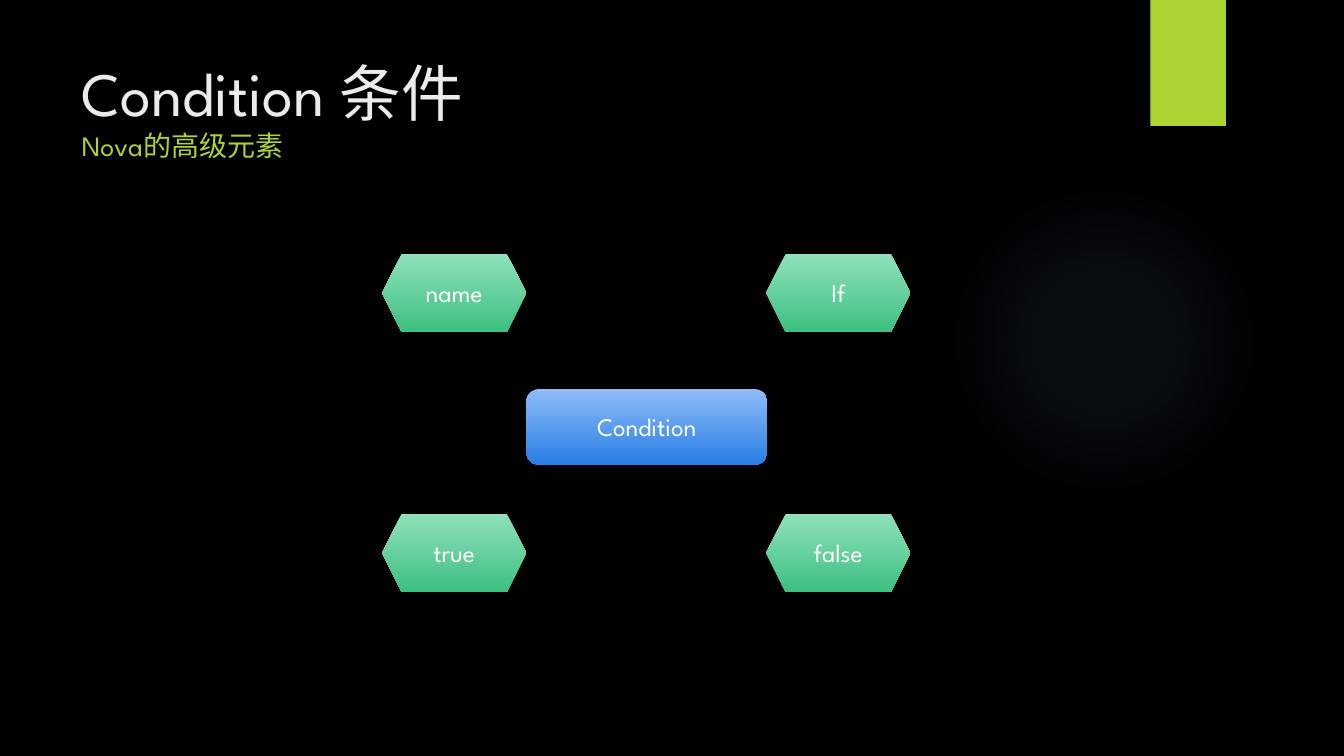
from lxml import etree
from pptx import Presentation
from pptx.dml.color import RGBColor
from pptx.enum.shapes import MSO_SHAPE as Preset
from pptx.enum.text import MSO_ANCHOR as Anchor, PP_ALIGN as Align
from pptx.oxml import parse_xml
from pptx.util import Inches, Pt

COLORS = {
    "background": "000000", "glow": "7AC4F0", "accent": "ACD433",
    "title": "EBEBEB", "label": "FFFFFF",
    "blue light": "8FBDF8", "blue dark": "287DE4",
    "green light": "8FE1B9", "green dark": "3DC081",
}
FACE = "League Spartan"
NAMESPACE = "http://schemas.openxmlformats.org/drawingml/2006/main"


def color(name):
    return RGBColor.from_string(COLORS[name])


def add_run(paragraph, text, color_name, size):
    run = paragraph.add_run()
    run.text = text
    run.font.color.rgb = color(color_name)
    for key, value in {"name": FACE, "size": Pt(size)}.items():
        setattr(run.font, key, value)


presentation = Presentation()
presentation.slide_width = Inches(13.33)
presentation.slide_height = Inches(7.5)
slide = presentation.slides.add_slide(presentation.slide_layouts[5])
slide.background.fill.solid()
slide.background.fill.fore_color.rgb = color("background")

glow = slide.shapes.add_shape(
    Preset.OVAL, Inches(9.41), Inches(1.83), Inches(3.08), Inches(3.08))
ribbon = slide.shapes.add_shape(
    Preset.RECTANGLE, Inches(11.41), 0, Inches(0.75), Inches(1.25))
for shape in (glow, ribbon):
    shape.shadow.inherit = False
    shape.line.fill.background()
ribbon.fill.solid()
ribbon.fill.fore_color.rgb = color("accent")

glow.fill.gradient()
gradient = glow.element.spPr.find(f"{{{NAMESPACE}}}gradFill")
stops = "".join(
    f'<a:gs pos="{position}000"><a:srgbClr val="{COLORS["glow"]}">'
    f'<a:alpha val="{alpha}000"/></a:srgbClr></a:gs>'
    for position, alpha in ((0, 7), (36, 6), (69, 0)))
glow.element.spPr.replace(gradient, parse_xml(
    f'<a:gradFill xmlns:a="{NAMESPACE}" rotWithShape="1"><a:gsLst>{stops}</a:gsLst>'
    '<a:path path="circle"><a:fillToRect l="50000" t="50000" r="50000" b="50000"/>'
    '</a:path></a:gradFill>'))

title = slide.shapes.title
title_place = {"left": 0.71, "top": 0.49, "width": 10.29, "height": 1.53}
for key, value in title_place.items():
    setattr(title, key, Inches(value))
title.text_frame.vertical_anchor = Anchor.TOP
title.text_frame.word_wrap = True
heading = title.text_frame.paragraphs[0]
heading.alignment = Align.LEFT
add_run(heading, "Condition 条件", "title", 44)
heading.add_line_break()
add_run(heading, "Nova的高级元素", "accent", 20)
for break_mark in heading._p.findall(f"{{{NAMESPACE}}}br"):
    etree.SubElement(break_mark, f"{{{NAMESPACE}}}rPr", sz="2000")

columns = (3.79, 7.6)
rows = (2.52, 5.1)
attributes = (("name", "If"), ("true", "false"))
nodes = [("Condition", Preset.ROUNDED_RECTANGLE, 5.22, 3.86, 2.39, 0.75, "blue")]
for top, names in zip(rows, attributes):
    for left, name in zip(columns, names):
        nodes.append((name, Preset.HEXAGON, left, top, 1.43, 0.77, "green"))

for text, preset, left, top, width, height, hue in nodes:
    node = slide.shapes.add_shape(preset, *map(Inches, (left, top, width, height)))
    node.shadow.inherit = False
    node.line.fill.background()
    node.fill.gradient()
    node.fill.gradient_angle = 270
    for stop, tone in zip(node.fill.gradient_stops, ("light", "dark")):
        stop.color.rgb = color(f"{hue} {tone}")
    node.text_frame.vertical_anchor = Anchor.MIDDLE
    paragraph = node.text_frame.paragraphs[0]
    paragraph.alignment = Align.CENTER
    add_run(paragraph, text, "label", 18)

presentation.save("out.pptx")
